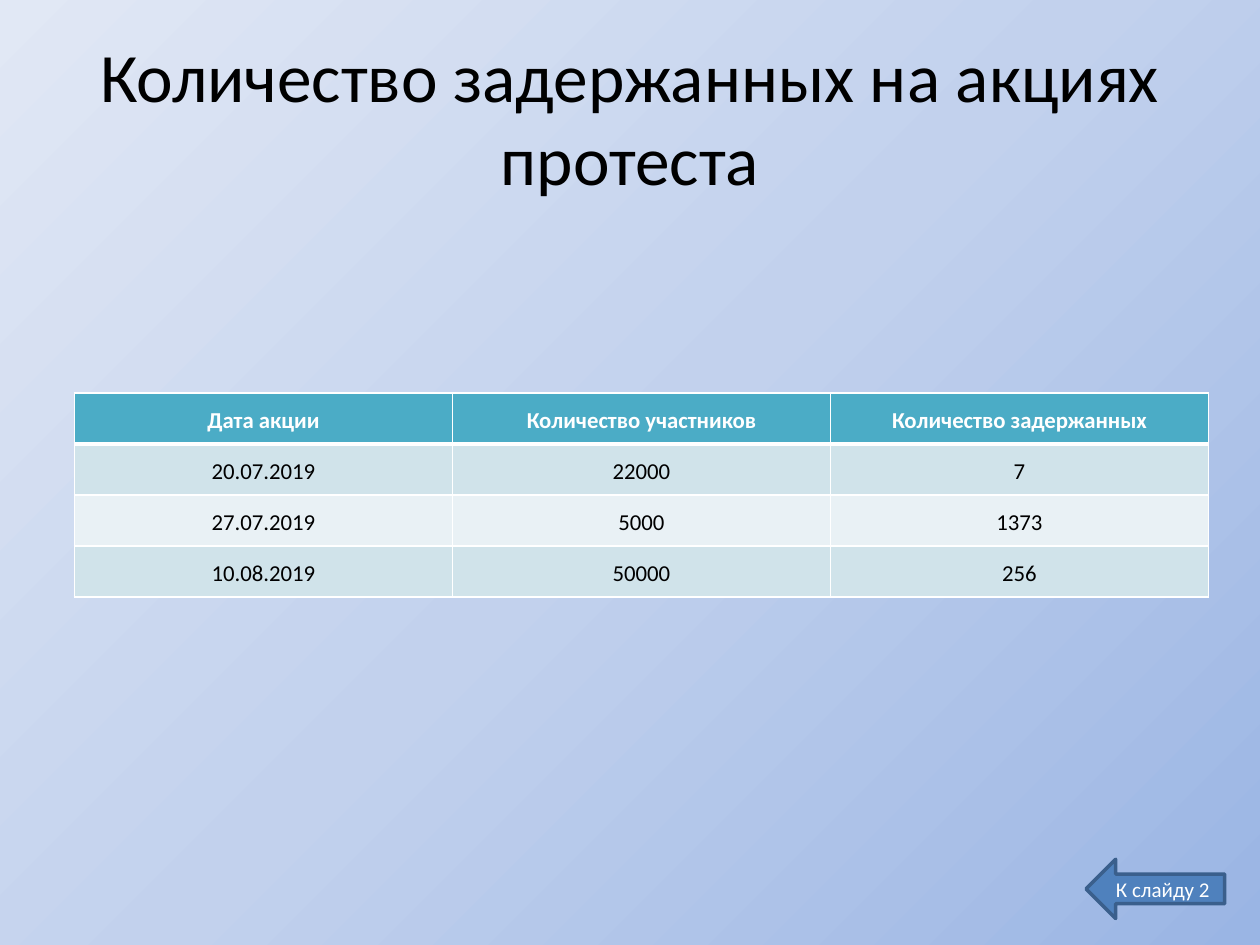
"""Builds a slide with a table of detentions at protest rallies."""
from pptx import Presentation, oxml
from pptx import util as u
from pptx.dml.color import RGBColor
from pptx.enum import shapes, text
from pptx.oxml import ns

COLORS = {
    "black": "000000", "white": "FFFFFF", "header": "4BACC6",
    "odd": "D0E3EA", "even": "E9F1F5", "arrow": "4F81BD", "edge": "3A5F8C",
}
GRADIENT = {0: "9AB5E4", 50: "C2D1ED", 100: "E1E8F5"}
FONT = "Calibri"
ROWS = [
    ("Дата акции", "Количество участников", "Количество задержанных"),
    ("20.07.2019", "22000", "7"),
    ("27.07.2019", "5000", "1373"),
    ("10.08.2019", "50000", "256"),
]


def color(name):
    return RGBColor.from_string(COLORS[name])


def area(*lengths):
    return [u.Inches(length) for length in lengths]


def set_background(slide):
    stops = "".join(
        f'<a:gs pos="{place * 1000}"><a:srgbClr val="{value}"/></a:gs>'
        for place, value in GRADIENT.items()
    )
    slide.shapes.element.addprevious(oxml.parse_xml(
        f'<p:bg {ns.nsdecls("p", "a")}><p:bgPr>'
        f'<a:gradFill rotWithShape="1"><a:gsLst>{stops}</a:gsLst>'
        '<a:path path="circle"><a:fillToRect l="100000" t="100000"/></a:path>'
        '<a:tileRect r="-100000" b="-100000"/></a:gradFill>'
        '<a:effectLst/></p:bgPr></p:bg>'
    ))


def write(frame, words, size, shade, bold=False):
    para = frame.paragraphs[0]
    para.alignment = text.PP_ALIGN.CENTER
    span = para.add_run()
    span.text = words
    span.font.name = FONT
    span.font.size = u.Pt(size)
    span.font.bold = bold
    span.font.color.rgb = color(shade)
    return para


def add_title(slide, words):
    box = slide.shapes.add_textbox(*area(0.5, 0.3, 9, 1.25))
    box.text_frame.word_wrap = True
    box.text_frame.vertical_anchor = text.MSO_ANCHOR.MIDDLE
    write(box.text_frame, words, 39.6, "black")


def set_borders(cell, widths):
    properties = cell._tc.get_or_add_tcPr()
    for index, (side, width) in enumerate(widths.items()):
        properties.insert(index, oxml.parse_xml(
            f'<a:ln{side} {ns.nsdecls("a")} w="{u.Pt(width)}"><a:solidFill>'
            f'<a:srgbClr val="{COLORS["white"]}"/></a:solidFill></a:ln{side}>'
        ))


def fill_cell(cell, words, row):
    header = row == 0
    cell.margin_left = cell.margin_right = u.Inches(0.07)
    cell.margin_top = cell.margin_bottom = 0
    cell.fill.solid()
    shade = "header" if header else "odd" if row % 2 else "even"
    cell.fill.fore_color.rgb = color(shade)
    para = write(cell.text_frame, words, 13, "white" if header else "black", header)
    para.line_spacing = 1.5
    para.space_before = para.space_after = u.Pt(6)
    set_borders(cell, {"L": 1, "R": 1, "T": 3 if row == 1 else 1, "B": 3 if header else 1})


def add_detentions(slide):
    table = slide.shapes.add_table(
        len(ROWS), len(ROWS[0]), *area(0.59, 3.12, 9, 1.62)
    ).table
    for row, values in enumerate(ROWS):
        for column, words in enumerate(values):
            fill_cell(table.cell(row, column), words, row)


def add_back_arrow(slide, words):
    arrow = slide.shapes.add_shape(
        shapes.MSO_SHAPE.LEFT_ARROW, *area(8.62, 6.82, 1.1, 0.47)
    )
    arrow.shadow.inherit = False
    arrow.fill.solid()
    arrow.fill.fore_color.rgb = color("arrow")
    arrow.line.color.rgb = color("edge")
    arrow.line.width = u.Pt(2)
    arrow.text_frame.vertical_anchor = text.MSO_ANCHOR.MIDDLE
    write(arrow.text_frame, words, 12, "white")


def main():
    deck = Presentation()
    deck.slide_width, deck.slide_height = area(10, 7.5)
    slide = deck.slides.add_slide(deck.slide_layouts[6])
    set_background(slide)
    add_title(slide, "Количество задержанных на акциях протеста")
    add_detentions(slide)
    add_back_arrow(slide, "К слайду 2")
    deck.save("out.pptx")


if __name__ == "__main__":
    main()
